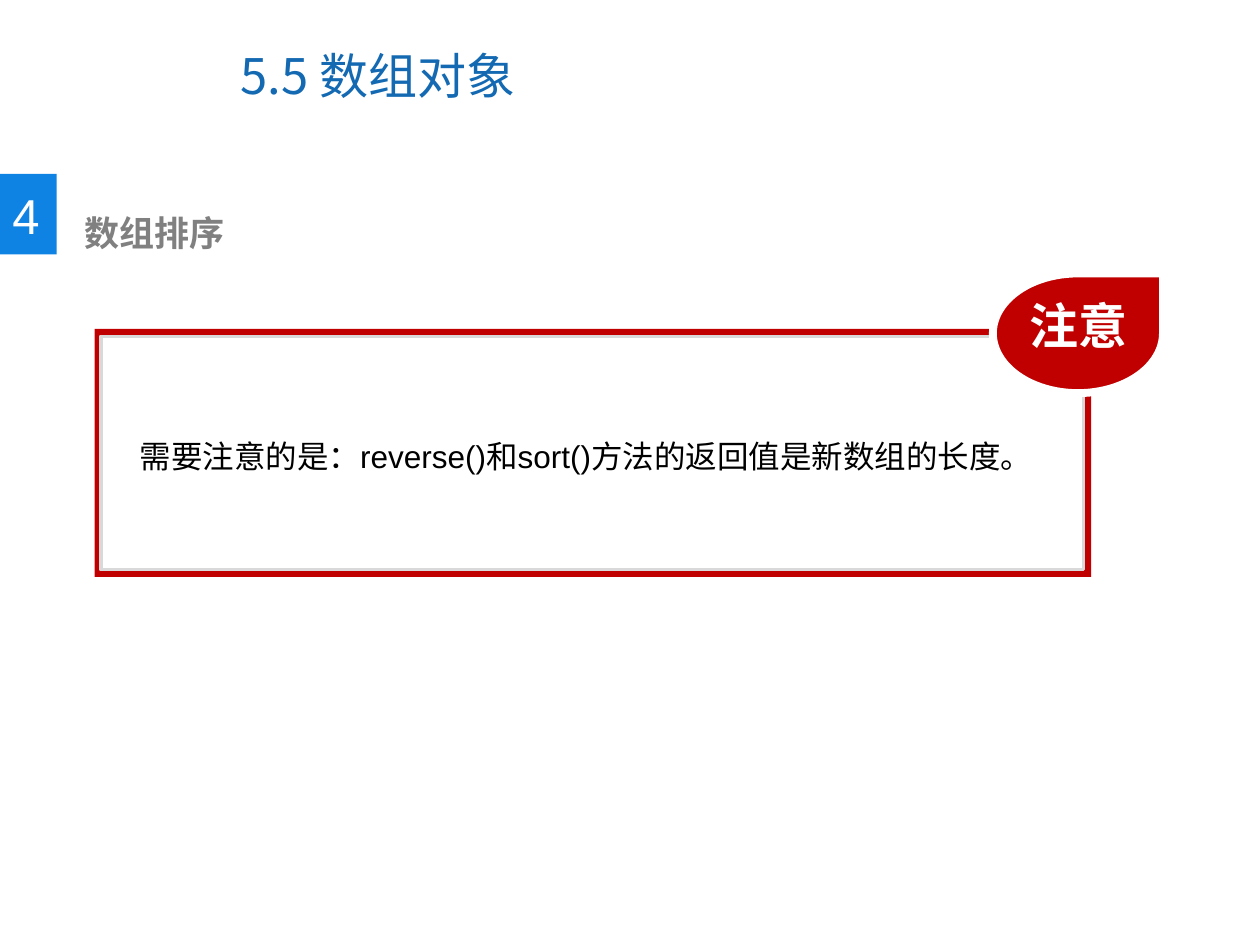
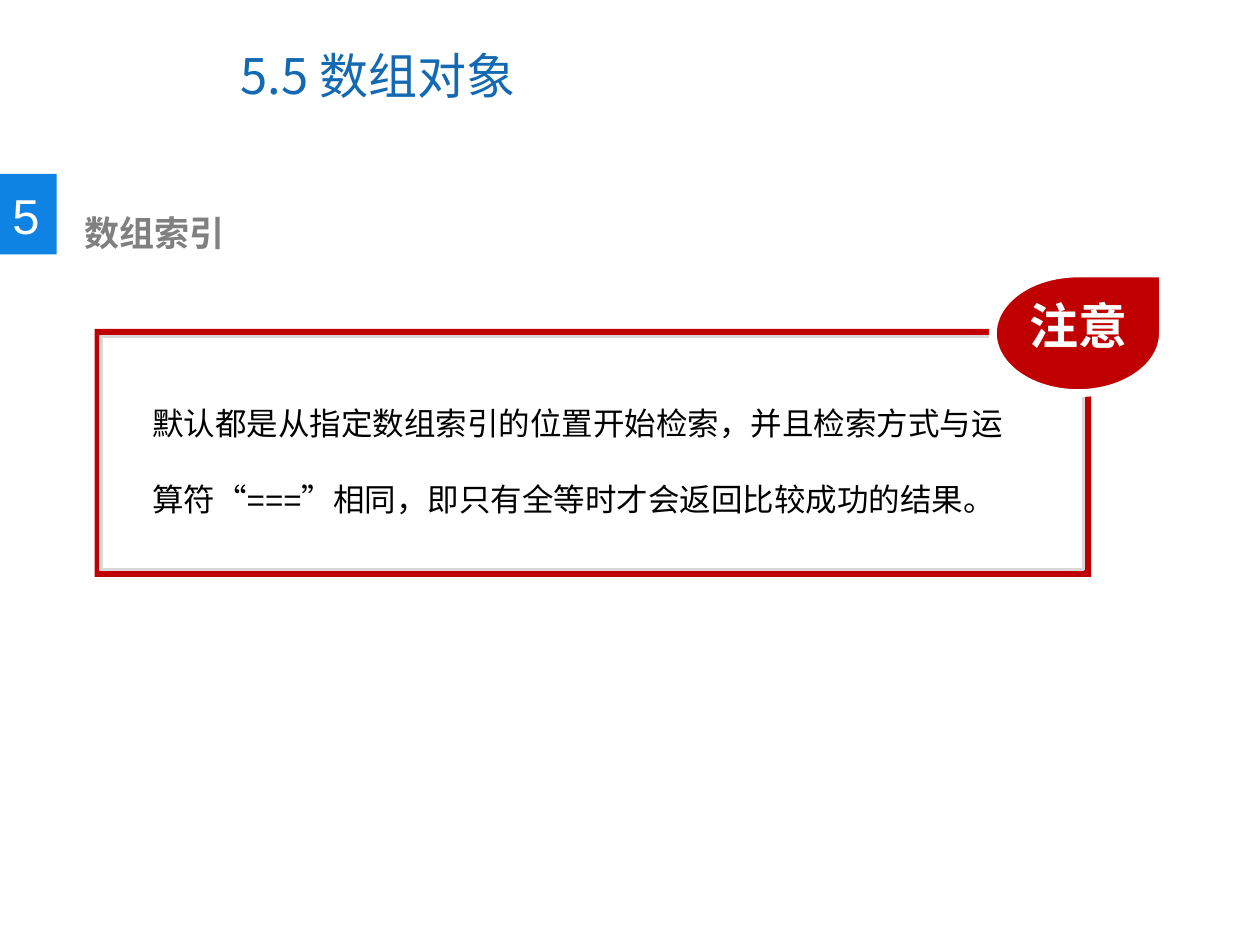
from dataclasses import dataclass
from typing import Optional

import pptx
import pptx.dml.color
import pptx.enum.shapes
import pptx.enum.text
import pptx.oxml.ns
import pptx.slide
import pptx.util
from lxml import etree

Inches = pptx.util.Inches
RGBColor = pptx.dml.color.RGBColor
MSO_SHAPE = pptx.enum.shapes.MSO_SHAPE
MSO_ANCHOR = pptx.enum.text.MSO_ANCHOR

BLUE = RGBColor(0x13, 0x69, 0xB2)
BRIGHT_BLUE = RGBColor(0x0F, 0x83, 0xE3)
RED = RGBColor(0xC0, 0x00, 0x00)
GRAY = RGBColor(0x80, 0x80, 0x80)
LIGHT_GRAY = RGBColor(0xD9, 0xD9, 0xD9)
WHITE = RGBColor(0xFF, 0xFF, 0xFF)
BLACK = RGBColor(0x00, 0x00, 0x00)
LATIN_FONT = "Arial"
CJK_FONT = "Noto Sans CJK SC"


@dataclass(frozen=True)
class Box:
    left: float
    top: float
    width: float
    height: float

    def lengths(self) -> tuple:
        return tuple(Inches(v) for v in (self.left, self.top, self.width, self.height))


@dataclass(frozen=True)
class Panel:
    kind: MSO_SHAPE
    box: Box
    fill: RGBColor
    line: Optional[RGBColor] = None
    line_width: float = 0


@dataclass(frozen=True)
class TextStyle:
    size: int
    color: RGBColor
    font: str = LATIN_FONT
    bold: bool = False
    wrap: bool = True
    anchor: MSO_ANCHOR = MSO_ANCHOR.TOP
    line_spacing: Optional[float] = None


@dataclass(frozen=True)
class Note:
    number: str
    heading: str
    body: str
    body_box: Box


TITLE = TextStyle(28, BLUE, CJK_FONT, anchor=MSO_ANCHOR.MIDDLE)
NUMBER = TextStyle(28, WHITE, wrap=False)
HEADING = TextStyle(20, GRAY, bold=True)
BADGE = TextStyle(28, WHITE, CJK_FONT, bold=True, wrap=False)
BODY = TextStyle(18, BLACK, line_spacing=2.0)

PANELS = [
    Panel(MSO_SHAPE.RECTANGLE, Box(0, 1.38, 0.45, 0.64), BRIGHT_BLUE),
    Panel(MSO_SHAPE.RECTANGLE, Box(0.75, 2.61, 7.91, 1.97), RED),
    Panel(MSO_SHAPE.RECTANGLE, Box(0.8, 2.67, 7.8, 1.85), WHITE, LIGHT_GRAY, 2),
    Panel(MSO_SHAPE.TEAR, Box(7.88, 2.17, 1.35, 0.95), RED, WHITE, 4.5),
]

NOTES = [
    Note("4", "数组排序",
         "需要注意的是：reverse()和sort()方法的返回值是新数组的长度。",
         Box(1.01, 3.12, 7.21, 0.71)),
    Note("5", "数组索引",
         "默认都是从指定数组索引的位置开始检索，并且检索方式与运算符“===”相同，即只有全等时才会返回比较成功的结果。",
         Box(1.11, 2.86, 7.13, 1.31)),
]


def add_panel(s: pptx.slide.Slide, panel: Panel) -> None:
    sp = s.shapes.add_shape(panel.kind, *panel.box.lengths())
    sp.shadow.inherit = False
    sp.fill.solid()
    sp.fill.fore_color.rgb = panel.fill
    if panel.line is None:
        sp.line.fill.background()
    else:
        sp.line.color.rgb = panel.line
        sp.line.width = pptx.util.Pt(panel.line_width)


def add_text(s: pptx.slide.Slide, text: str, box: Box, style: TextStyle) -> None:
    tf = s.shapes.add_textbox(*box.lengths()).text_frame
    tf.word_wrap = style.wrap
    tf.vertical_anchor = style.anchor
    tf.text = text
    p = tf.paragraphs[0]
    if style.line_spacing:
        p.line_spacing = style.line_spacing
    r = p.runs[0]
    r.font.size = pptx.util.Pt(style.size)
    r.font.name = style.font
    r.font.bold = style.bold
    r.font.color.rgb = style.color
    if style.font == CJK_FONT:
        ea = etree.SubElement(r.font._element, pptx.oxml.ns.qn("a:ea"))
        ea.set("typeface", CJK_FONT)


def add_note_slide(prs, note: Note) -> None:
    s = prs.slides.add_slide(prs.slide_layouts[6])
    for panel in PANELS:
        add_panel(s, panel)
    add_text(s, "5.5 数组对象", Box(1.81, 0.17, 5.16, 0.85), TITLE)
    add_text(s, note.number, Box(0, 1.42, 0.42, 0.57), NUMBER)
    add_text(s, note.heading, Box(0.57, 1.63, 5.04, 0.44), HEADING)
    add_text(s, "注意", Box(8.07, 2.3, 0.99, 0.57), BADGE)
    add_text(s, note.body, note.body_box, BODY)


def main() -> None:
    prs = pptx.Presentation()
    prs.slide_width = Inches(10)
    prs.slide_height = Inches(7.5)
    for note in NOTES:
        add_note_slide(prs, note)
    prs.save("out.pptx")


if __name__ == "__main__":
    main()
